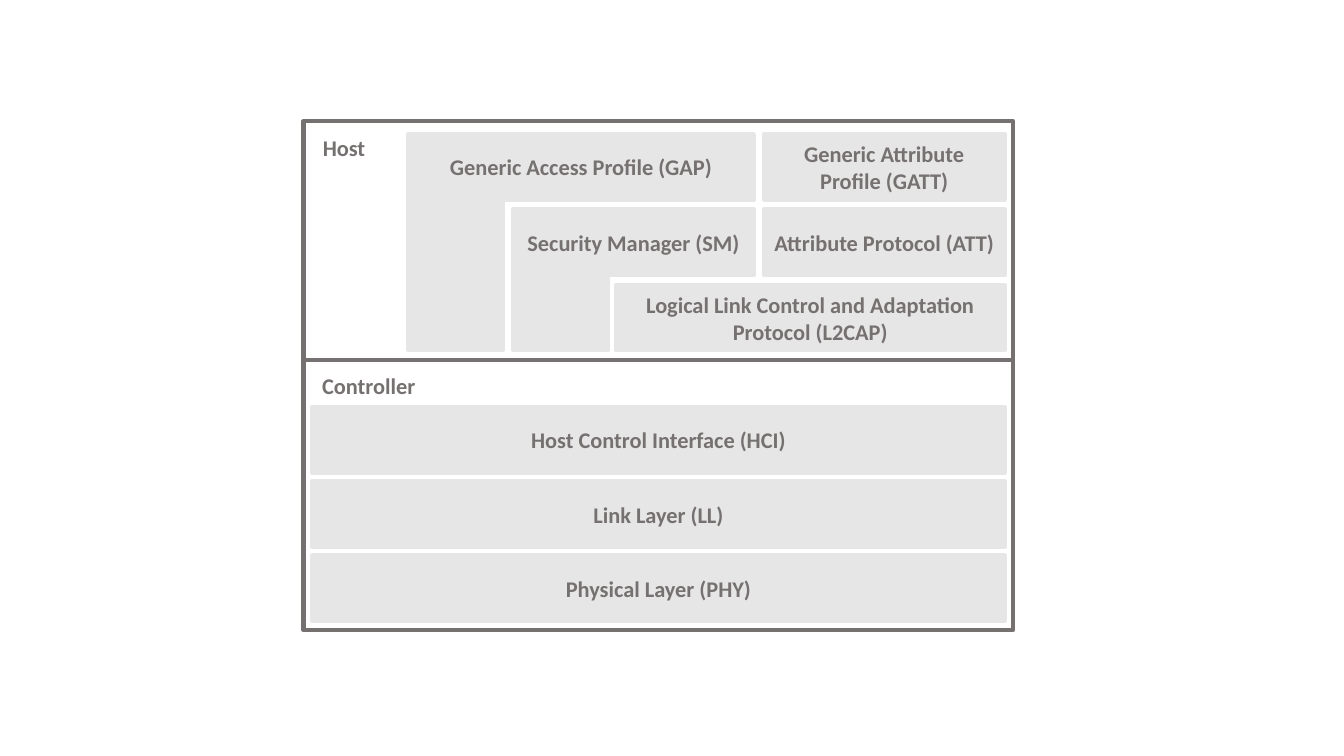
from lxml.etree import SubElement
from pptx import Presentation
from pptx.dml.color import RGBColor
from pptx.enum.shapes import MSO_CONNECTOR, MSO_SHAPE
from pptx.enum.text import MSO_ANCHOR, MSO_AUTO_SIZE, PP_ALIGN
from pptx.oxml.ns import qn
from pptx.util import Cm, Pt

GREY = "767171"
LIGHT = "E7E6E6"
FRAME_LEFT, FRAME_TOP, FRAME_WIDTH, FRAME_HEIGHT = 7.65, 3.05, 17.88, 12.83
DIVIDER_Y = 9.07
BLOCK_HEIGHT = 1.65
LEFT, RIGHT = 7.87, 25.32
GAP_X, SM_X, L2CAP_X, ATT_X = 10.29, 12.93, 15.52, 19.25
MIDDLE_RIGHT = 19.0
LEG_WIDTH = 2.39
HOST_ROWS = [3.38 + 1.9 * i for i in range(3)]
HOST_BOTTOM = HOST_ROWS[-1] + BLOCK_HEIGHT
CONTROLLER_TOP, CONTROLLER_STEP = 10.26, 1.87


def color(value):
    return RGBColor.from_string(value)


def set_line(sp, value):
    sp.line.color.rgb = color(value)
    sp.line.width = Pt(3)


def write(tf, text, align):
    p = tf.paragraphs[0]
    p.alignment = align
    r = p.add_run()
    r.text = text
    r.font.name = "Calibri"
    r.font.size = Pt(16)
    r.font.bold = True
    r.font.color.rgb = color(GREY)


def add_frame(shapes):
    sp = shapes.add_shape(MSO_SHAPE.RECTANGLE, Cm(FRAME_LEFT), Cm(FRAME_TOP),
                          Cm(FRAME_WIDTH), Cm(FRAME_HEIGHT))
    sp.shadow.inherit = False
    sp.fill.background()
    set_line(sp, GREY)


def add_block(shapes, left, top, right, bottom, text=None):
    sp = shapes.add_shape(MSO_SHAPE.RECTANGLE, Cm(left), Cm(top),
                          Cm(right - left), Cm(bottom - top))
    sp.shadow.inherit = False
    sp.fill.solid()
    sp.fill.fore_color.rgb = color(LIGHT)
    set_line(sp, LIGHT)
    if text:
        tf = sp.text_frame
        tf.word_wrap = True
        tf.vertical_anchor = MSO_ANCHOR.MIDDLE
        write(tf, text, PP_ALIGN.CENTER)


def add_label(shapes, top, width, text, align, wrap):
    sp = shapes.add_textbox(Cm(LEFT), Cm(top), Cm(width), Cm(0.94))
    tf = sp.text_frame
    tf.word_wrap = wrap
    tf.auto_size = MSO_AUTO_SIZE.SHAPE_TO_FIT_TEXT
    write(tf, text, align)


def add_divider(shapes):
    line = shapes.add_connector(MSO_CONNECTOR.STRAIGHT, Cm(FRAME_LEFT), Cm(DIVIDER_Y),
                                Cm(FRAME_LEFT + FRAME_WIDTH), Cm(DIVIDER_Y))
    set_line(line, GREY)
    SubElement(line._element.spPr, qn("a:effectLst"))


def add_host(shapes):
    add_label(shapes, 3.25, 1.6, "Host", PP_ALIGN.CENTER, False)
    for left, row, right, text in [
        (L2CAP_X, 2, RIGHT, "Logical Link Control and Adaptation Protocol (L2CAP)"),
        (ATT_X, 1, RIGHT, "Attribute Protocol (ATT)"),
        (ATT_X, 0, RIGHT, "Generic Attribute Profile (GATT)"),
        (SM_X, 1, MIDDLE_RIGHT, "Security Manager (SM)"),
        (GAP_X, 0, MIDDLE_RIGHT, "Generic Access Profile (GAP)"),
    ]:
        top = HOST_ROWS[row]
        add_block(shapes, left, top, right, top + BLOCK_HEIGHT, text)
    for left, row in [(SM_X, 1), (GAP_X, 0)]:
        add_block(shapes, left, HOST_ROWS[row] + BLOCK_HEIGHT, left + LEG_WIDTH, HOST_BOTTOM)


def add_controller(shapes):
    add_label(shapes, 9.25, 4.14, "Controller", PP_ALIGN.LEFT, True)
    layers = ["Host Control Interface (HCI)", "Link Layer (LL)", "Physical Layer (PHY)"]
    for i, text in enumerate(layers):
        top = CONTROLLER_TOP + CONTROLLER_STEP * i
        add_block(shapes, LEFT, top, RIGHT, top + BLOCK_HEIGHT, text)


def main():
    prs = Presentation()
    prs.slide_width = Cm(33.87)
    prs.slide_height = Cm(19.05)
    s = prs.slides.add_slide(prs.slide_layouts[6])
    shapes = s.shapes.add_group_shape().shapes
    add_frame(shapes)
    add_controller(shapes)
    add_divider(shapes)
    add_host(shapes)
    prs.save("out.pptx")


if __name__ == "__main__":
    main()
